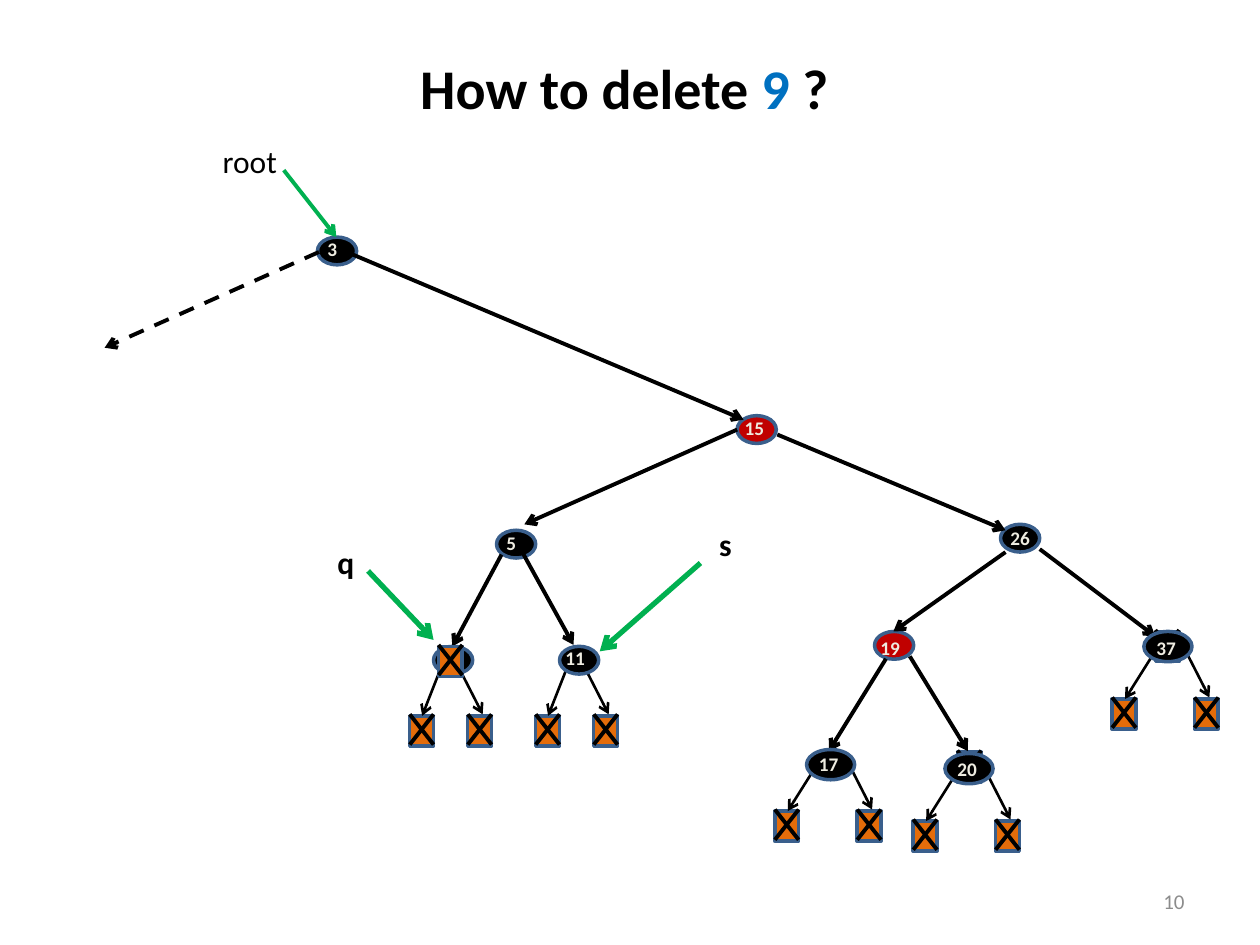
from dataclasses import dataclass

from lxml import etree
from pptx import Presentation
from pptx.dml.color import RGBColor
from pptx.enum.dml import MSO_LINE
from pptx.enum.shapes import MSO_CONNECTOR, MSO_SHAPE
from pptx.enum.text import MSO_ANCHOR, PP_ALIGN
from pptx.oxml.ns import qn
from pptx.util import Cm, Pt

RECT, OVAL = MSO_SHAPE.RECTANGLE, MSO_SHAPE.OVAL
STRAIGHT, DASH = MSO_CONNECTOR.STRAIGHT, MSO_LINE.DASH
TOP, MIDDLE = MSO_ANCHOR.TOP, MSO_ANCHOR.MIDDLE
LEFT, CENTER, RIGHT = PP_ALIGN.LEFT, PP_ALIGN.CENTER, PP_ALIGN.RIGHT


@dataclass(frozen=True)
class Theme:
    font: str = "Calibri"
    ink: str = "000000"
    red: str = "C00000"
    outline: str = "3A5F8C"
    leaf: str = "E46C0A"
    key: str = "EEECE1"
    pointer: str = "00B050"
    accent: str = "0070C0"
    muted: str = "8C8C8C"
    title_size: float = 32
    pointer_size: float = 18
    number_size: float = 12
    key_size: float = 11
    thick: float = 3
    edge: float = 2.25
    border: float = 2
    thin: float = 1.5


@dataclass(frozen=True)
class Family:
    w: float
    h: float
    leaves: tuple
    stubs: tuple


@dataclass(frozen=True)
class Node:
    key: str
    x: float
    y: float
    label_x: float
    label_y: float
    family: Family
    fill: str
    drop: float = 0


@dataclass(frozen=True)
class Edge:
    x1: float
    y1: float
    x2: float
    y2: float
    dashed: bool = False


@dataclass(frozen=True)
class Pointer:
    name: str
    x: float
    y: float
    w: float
    arrow: Edge
    width: float
    bold: bool


T = Theme()
LEAF_W, LEAF_H = 0.48, 0.61
SMALL = Family(0.79, 0.56, (-0.48, 0.69),
               ((0.15, -0.97, -0.23, 0), (0.51, -0.97, 0.99, -0.03)))
LARGE = Family(0.97, 0.61, (-0.64, 1.02),
               ((0.15, -0.84, -0.38, 0), (0.84, -0.97, 1.32, -0.03)))

SMALL_NODES = (
    Node("3", 6.4, 4.78, 6.35, 4.65, SMALL, T.ink),
    Node("15", 14.86, 8.38, 14.76, 8.26, SMALL, T.red),
    Node("26", 20.17, 10.57, 20.12, 10.49, SMALL, T.ink),
    Node("19", 17.63, 12.73, 17.5, 12.7, SMALL, T.red),
    Node("5", 10.01, 10.69, 9.96, 10.59, SMALL, T.ink),
    Node("9", 8.74, 13.03, 8.69, 12.9, SMALL, T.ink, 1.4),
    Node("11", 11.28, 13.03, 11.15, 12.9, SMALL, T.ink, 1.4),
)
LARGE_NODES = (
    Node("37", 23.06, 12.73, 23.06, 12.7, LARGE, T.ink, 1.36),
    Node("20", 19.05, 15.19, 19.05, 15.14, LARGE, T.ink, 1.36),
    Node("17", 16.26, 15.11, 16.26, 15.04, LARGE, T.ink, 1.24),
)
EDGES = (
    Edge(6.99, 5.08, 14.99, 8.46),
    Edge(6.43, 5.08, 2.11, 7.01, dashed=True),
    Edge(14.86, 8.66, 10.57, 10.57),
    Edge(15.67, 8.76, 20.27, 10.69),
    Edge(10.11, 11.18, 9.12, 13.03),
    Edge(10.54, 11.15, 11.56, 13),
    Edge(20.27, 11.13, 18.01, 12.73),
    Edge(20.96, 11.07, 23.29, 12.83),
    Edge(17.86, 13.28, 16.71, 15.14),
    Edge(18.34, 13.23, 19.51, 15.14),
)
POINTERS = (
    Pointer("root", 4.24, 2.74, 1.63, Edge(5.72, 3.43, 6.78, 4.78), T.edge, False),
    Pointer("q", 6.55, 10.82, 0.86, Edge(7.42, 11.51, 8.74, 12.9), T.thick, True),
    Pointer("s", 14.25, 10.46, 0.76, Edge(14.12, 11.35, 12.09, 13.13), T.thick, True),
)
REPLACED_LEAVES = ((19.3, 15.16), (23.29, 12.73))
DELETED_LEAF = (8.84, 13.03)


def apply(obj, fmt: dict) -> None:
    for name, value in fmt.items():
        setattr(obj, name, value)


def add_shape(s, kind, x: float, y: float, w: float, h: float, fill: str) -> None:
    sp = s.shapes.add_shape(kind, Cm(x), Cm(y), Cm(w), Cm(h))
    sp.shadow.inherit = False
    sp.fill.solid()
    sp.fill.fore_color.rgb = RGBColor.from_string(fill)
    sp.line.color.rgb = RGBColor.from_string(T.outline)
    sp.line.width = Pt(T.border)


def add_line(s, e: Edge, width: float, color: str = T.ink, arrow: bool = True) -> None:
    c = s.shapes.add_connector(STRAIGHT, Cm(e.x1), Cm(e.y1), Cm(e.x2), Cm(e.y2))
    c.line.color.rgb = RGBColor.from_string(color)
    c.line.width = Pt(width)
    if e.dashed:
        c.line.dash_style = DASH
    if arrow:
        etree.SubElement(c.line._get_or_add_ln(), qn("a:tailEnd"), type="arrow")
    etree.SubElement(c._element.spPr, qn("a:effectLst"))


def add_text(s, runs: tuple, x: float, y: float, w: float, h: float, size: float,
             bold: bool = True, align=LEFT, anchor=TOP, wrap: bool = False,
             bottom: float = 0.13) -> None:
    tf = s.shapes.add_textbox(Cm(x), Cm(y), Cm(w), Cm(h)).text_frame
    apply(tf, {"word_wrap": wrap, "vertical_anchor": anchor, "margin_bottom": Cm(bottom)})
    p = tf.paragraphs[0]
    p.alignment = align
    for text, color in runs:
        r = p.add_run()
        r.text = text
        apply(r.font, {"name": T.font, "size": Pt(size), "bold": bold})
        r.font.color.rgb = RGBColor.from_string(color)


def add_leaf(s, x: float, y: float) -> None:
    add_shape(s, RECT, x, y, LEAF_W, LEAF_H, T.leaf)
    top, bottom = y - 0.03, y - 0.03 + LEAF_H
    for x1, x2 in ((x + LEAF_W, x), (x, x + LEAF_W)):
        add_line(s, Edge(x1, top, x2, bottom), T.edge, arrow=False)


def add_node(s, n: Node) -> None:
    f = n.family
    if n.drop:
        base = n.y + n.drop
        for dx in f.leaves:
            add_leaf(s, n.x + dx, base)
        for x1, y1, x2, y2 in f.stubs:
            add_line(s, Edge(n.x + x1, base + y1, n.x + x2, base + y2), T.thin)
    add_shape(s, OVAL, n.x, n.y, f.w, f.h, n.fill)
    large = f is LARGE
    w = 1.09 if large else 0.51 + 0.2 * len(n.key)
    add_text(s, ((n.key, T.key),), n.label_x, n.label_y, w, 0.74, T.key_size, wrap=large)


def main() -> None:
    prs = Presentation()
    apply(prs, {"slide_width": Cm(25.4), "slide_height": Cm(19.05)})
    s = prs.slides.add_slide(prs.slide_layouts[6])
    title = (("How to delete ", T.ink), ("9 ", T.accent), ("?", T.ink))
    add_text(s, title, 0.2, 0.76, 24.77, 3.18, T.title_size,
             align=CENTER, anchor=MIDDLE, wrap=True, bottom=1.32)
    add_text(s, (("10", T.muted),), 18.21, 17.65, 5.92, 1.02, T.number_size,
             bold=False, align=RIGHT, anchor=MIDDLE, wrap=True)
    for x, y in REPLACED_LEAVES:
        add_leaf(s, x, y)
    for n in SMALL_NODES:
        add_node(s, n)
    for e in EDGES:
        add_line(s, e, T.edge)
    for n in LARGE_NODES:
        add_node(s, n)
    add_leaf(s, *DELETED_LEAF)
    for p in POINTERS:
        add_line(s, p.arrow, p.width, T.pointer)
        add_text(s, ((p.name, T.ink),), p.x, p.y, p.w, 1.02, T.pointer_size, bold=p.bold)
    prs.save("out.pptx")


if __name__ == "__main__":
    main()
